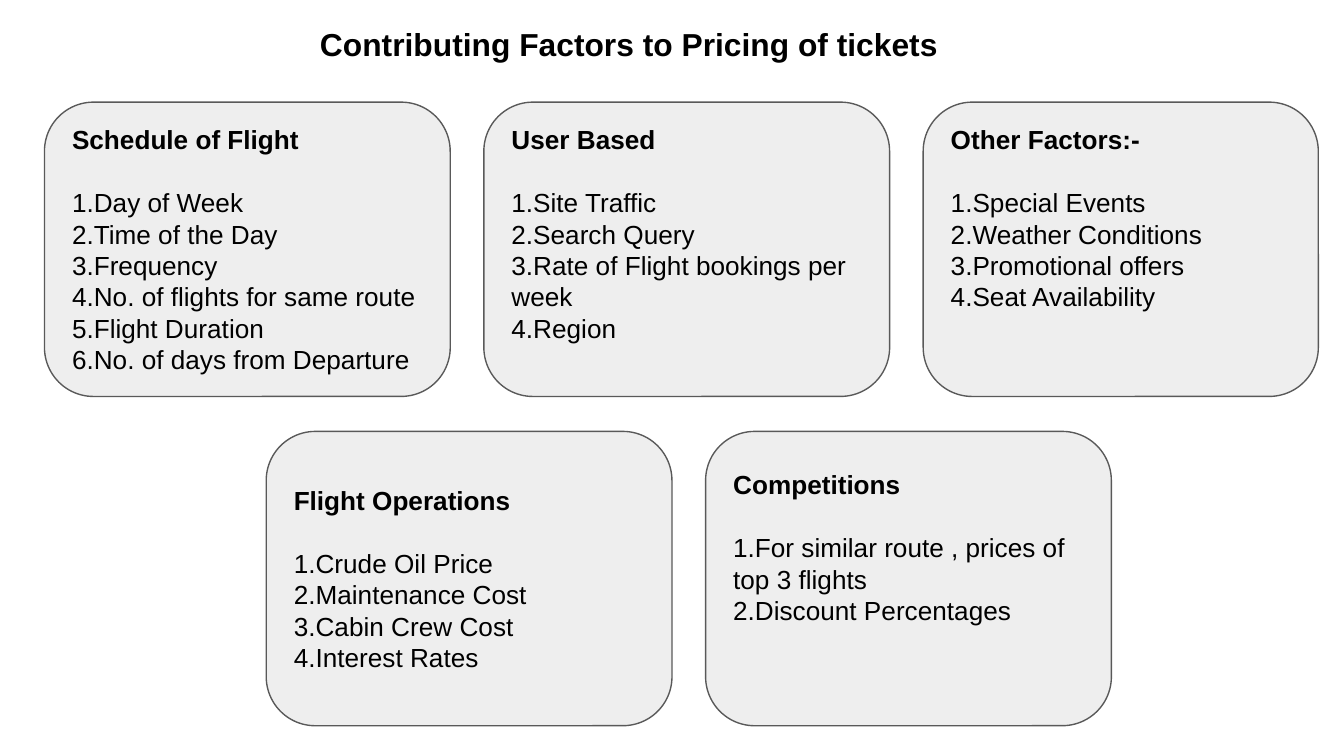
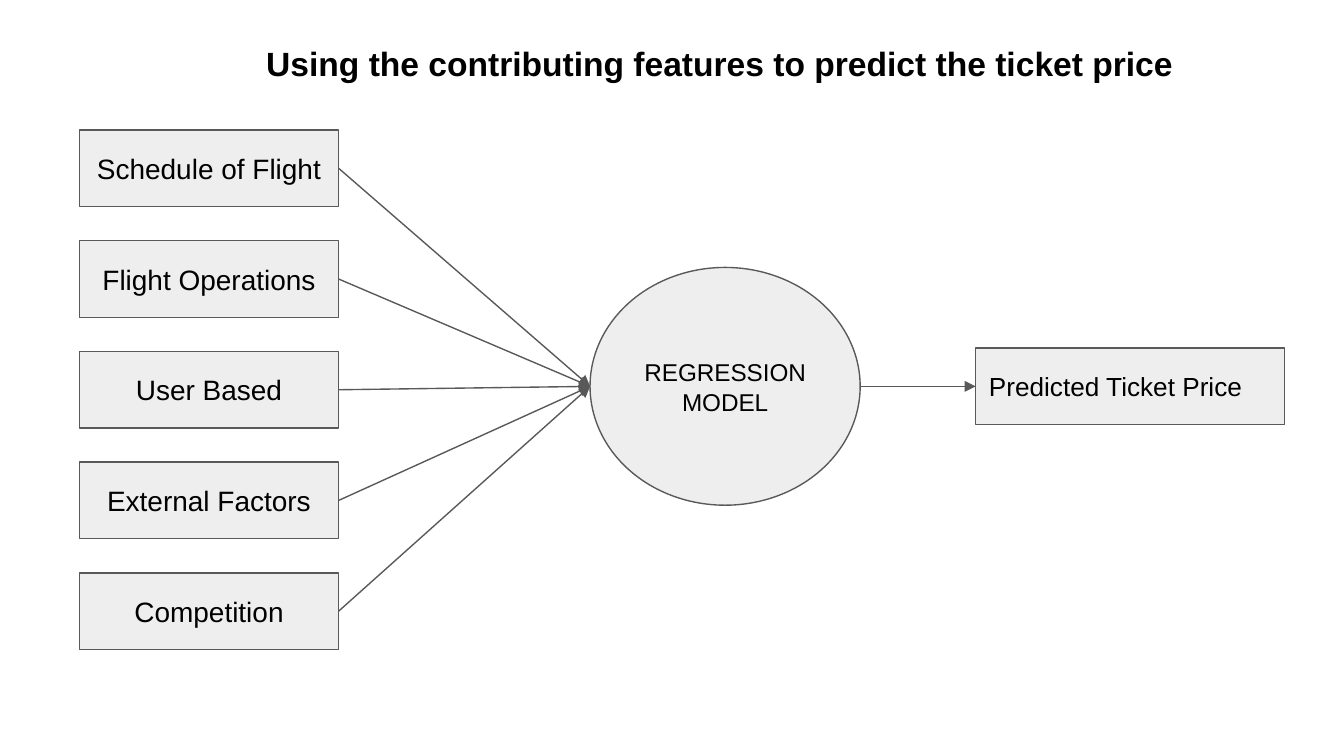
"""Build two slides on the factors behind ticket prices and the model that uses them."""
from lxml import etree
from pptx import Presentation
from pptx.dml.color import RGBColor
from pptx.enum.shapes import MSO_CONNECTOR, MSO_SHAPE
from pptx.enum.text import MSO_ANCHOR, MSO_AUTO_SIZE, PP_ALIGN
from pptx.oxml.ns import qn
from pptx.util import Pt

ROUNDED, RECTANGLE, OVAL = MSO_SHAPE.ROUNDED_RECTANGLE, MSO_SHAPE.RECTANGLE, MSO_SHAPE.OVAL
STRAIGHT = MSO_CONNECTOR.STRAIGHT
TOP, MIDDLE = MSO_ANCHOR.TOP, MSO_ANCHOR.MIDDLE
LEFT, CENTER = PP_ALIGN.LEFT, PP_ALIGN.CENTER
FIXED = MSO_AUTO_SIZE.NONE

COLORS = {name: RGBColor.from_string(value) for name, value in {
    "text": "000000", "fill": "EEEEEE", "line": "595959"}.items()}
FRAME = {"word_wrap": True, "auto_size": FIXED, "margin_left": Pt(7.2), "margin_right": Pt(7.2),
         "margin_top": Pt(7.2), "margin_bottom": Pt(7.2)}
CARD_LINE = 16.8


def write(shape, lines, size, anchor=MIDDLE, align=CENTER, bold_first=False, **paragraph_format):
    frame = shape.text_frame
    for name, value in {**FRAME, "vertical_anchor": anchor}.items():
        setattr(frame, name, value)
    for index, line in enumerate(lines):
        para = frame.paragraphs[0] if index == 0 else frame.add_paragraph()
        for name, value in {"alignment": align, **paragraph_format}.items():
            setattr(para, name, value)
        span = para.add_run()
        span.text = line
        span.font.color.rgb = COLORS["text"]
        for name, value in {"name": "Arial", "size": Pt(size),
                            "bold": bold_first and index == 0}.items():
            setattr(span.font, name, value)


def add_box(page, kind, left, top, width, height):
    box = page.shapes.add_shape(kind, Pt(left), Pt(top), Pt(width), Pt(height))
    box.shadow.inherit = False
    box.fill.solid()
    box.fill.fore_color.rgb = COLORS["fill"]
    box.line.color.rgb = COLORS["line"]
    box.line.width = Pt(0.75)
    return box


deck = Presentation()
deck.slide_width, deck.slide_height = Pt(720), Pt(405)

pages = []
for title, size, left, top, width, height in [
    ("Contributing Factors to Pricing of tickets", 17, 164.2, 5.8, 349.2, 55.4),
    ("Using the contributing features to predict the ticket price", 18, 135.4, 15.8, 506.9, 36),
]:
    page = deck.slides.add_slide(deck.slide_layouts[5])
    heading = page.shapes.title
    for name, value in {"left": left, "top": top, "width": width, "height": height}.items():
        setattr(heading, name, Pt(value))
    write(heading, [title], size, TOP, LEFT, bold_first=True)
    pages.append(page)
factors_page, model_page = pages

card_pitch = 235.4
card_rows = [
    (23.8, 54.7, [
        (217.4, 3.9, ["Schedule of Flight", "1.Day of Week", "2.Time of the Day", "3.Frequency",
                      "4.No. of flights for same route", "5.Flight Duration",
                      "6.No. of days from Departure"]),
        (217.4, 3.9, ["User Based", "1.Site Traffic", "2.Search Query",
                      "3.Rate of Flight bookings per week", "4.Region"]),
        (211.7, 3.9, ["Other Factors:-", "1.Special Events", "2.Weather Conditions",
                      "3.Promotional offers", "4.Seat Availability"]),
    ]),
    (142.6, 231.1, [
        (217.4, 20.8, ["Flight Operations", "1.Crude Oil Price", "2.Maintenance Cost",
                       "3.Cabin Crew Cost", "4.Interest Rates"]),
        (217.4, 12.4, ["Competitions", "1.For similar route , prices of top 3 flights",
                       "2.Discount Percentages"]),
    ]),
]
for row_left, row_top, cards in card_rows:
    for column, (width, inset, lines) in enumerate(cards):
        card = add_box(factors_page, ROUNDED, row_left + column * card_pitch, row_top, width, 157.7)
        write(card, lines, 14, TOP, LEFT, bold_first=True, line_spacing=Pt(CARD_LINE))
        card.text_frame.margin_top = Pt(inset)
        card.text_frame.paragraphs[0].space_after = Pt(CARD_LINE)

model = add_box(model_page, OVAL, 316.1, 143.3, 144.7, 127.4)
write(model, ["REGRESSION", "MODEL"], 13, line_spacing=Pt(16))
price = add_box(model_page, RECTANGLE, 522.7, 186.5, 165.6, 41)
write(price, ["Predicted Ticket Price"], 14, align=LEFT)

links = [(model, price)]
features = ["Schedule of Flight", "Flight Operations", "User Based", "External Factors", "Competition"]
for row, feature in enumerate(features):
    box = add_box(model_page, RECTANGLE, 42.5, 69.7 + row * 59.3, 139, 41)
    write(box, [feature], 15)
    links.append((box, model))

for source, target in links:
    arrow = model_page.shapes.add_connector(
        STRAIGHT, source.left + source.width, source.top + source.height // 2,
        target.left, target.top + target.height // 2)
    arrow.line.color.rgb = COLORS["line"]
    arrow.line.width = Pt(0.75)
    etree.SubElement(arrow.line._get_or_add_ln(), qn("a:tailEnd"), type="triangle")
    etree.SubElement(arrow._element.spPr, qn("a:effectLst"))

deck.save("out.pptx")
